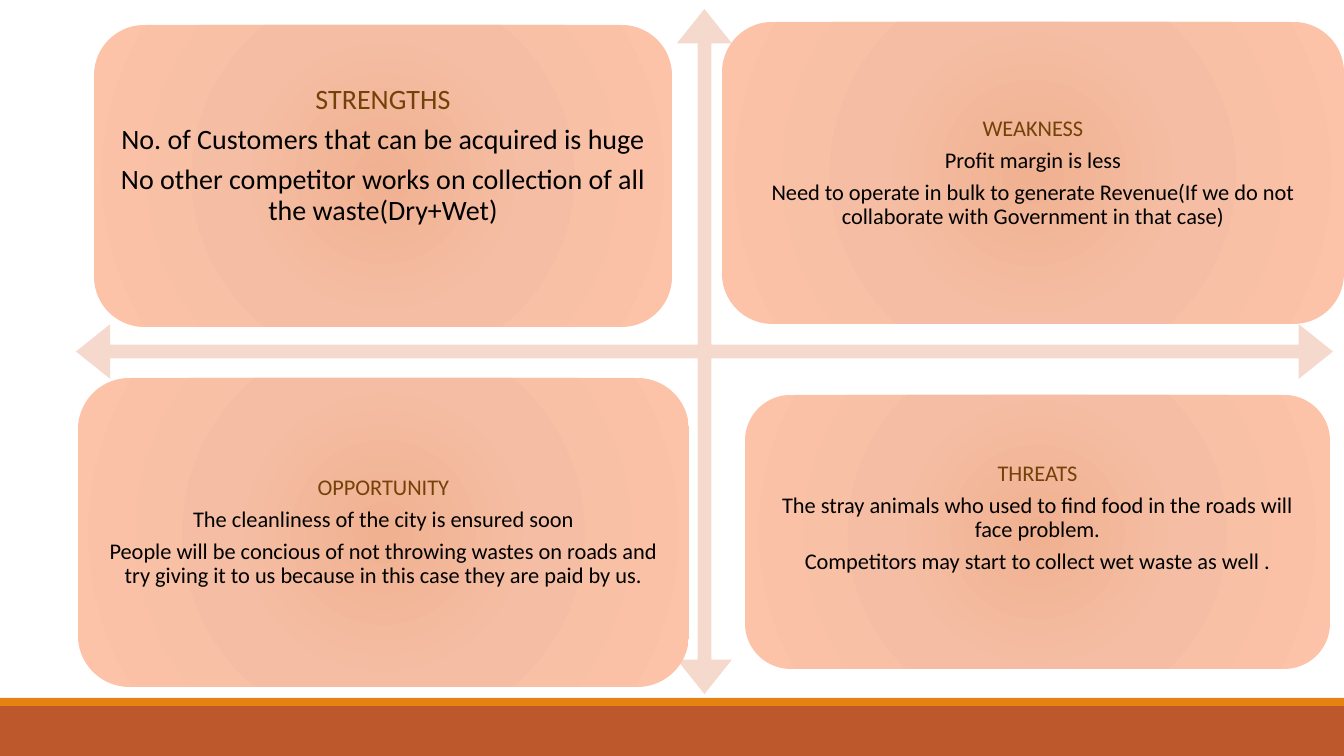
from lxml.etree import SubElement
from pptx import Presentation
from pptx.dml.color import RGBColor
from pptx.enum.shapes import MSO_SHAPE
from pptx.enum.text import MSO_ANCHOR, PP_ALIGN
from pptx.oxml.ns import qn
from pptx.util import Emu, Pt

COLORS = {
    "footer": "BD582C",
    "stripe": "E48312",
    "axes": "F5D9CC",
    "heading": "724209",
    "body": "000000",
}
GLOW = [(0, "F0B191"), (45, "F5BEA4"), (100, "FDC3A8")]
FONT = "Calibri"
SLIDE_SIZE = (1344, 756)
FOOTER = (0, 706, 1344, 50)
STRIPE = (0, 698, 1344, 8)
AXES = (76, 9, 1257, 685)
AXES_PROPORTIONS = (0.02, 0.04, 0.05)

# heading, points, area in px, text size in pt, upward shift of the text in px
QUADRANTS = [
    ("STRENGTHS",
     ["No. of Customers that can be acquired is huge",
      "No other competitor works on collection of all the waste(Dry+Wet)"],
     (94, 25, 578, 302), 20, 20),
    ("WEAKNESS",
     ["Profit margin is less",
      "Need to operate in bulk to generate Revenue(If we do not collaborate "
      "with Government in that case)"],
     (722, 22, 622, 302), 16, 0),
    ("OPPORTUNITY",
     ["The cleanliness of the city is ensured soon",
      "People will be concious of not throwing wastes on roads and try giving "
      "it to us because in this case they are paid by us."],
     (78, 378, 611, 309), 16, 0),
    ("THREATS",
     ["The stray animals who used to find food in the roads will face problem.",
      "Competitors may start to collect wet waste as well ."],
     (745, 395, 585, 274), 16, 14),
]
INSET = 7


def px(length):
    return Emu(round(length * 914400 / 100.8))


def add_block(slide, kind, area, color=None):
    block = slide.shapes.add_shape(kind, *map(px, area))
    block.shadow.inherit = False
    block.line.fill.background()
    if color:
        block.fill.solid()
        block.fill.fore_color.rgb = RGBColor.from_string(COLORS[color])
    return block


def add_glow(block):
    """Fill the block with the circular gradient."""
    block.fill.gradient()
    gradient = block.element.spPr.find(qn("a:gradFill"))
    for part in list(gradient):
        gradient.remove(part)
    stops = SubElement(gradient, qn("a:gsLst"))
    for percent, color in GLOW:
        stop = SubElement(stops, qn("a:gs"), pos=str(percent * 1000))
        SubElement(stop, qn("a:srgbClr"), val=color)
    circle = SubElement(gradient, qn("a:path"))
    circle.set("path", "circle")
    SubElement(circle, qn("a:fillToRect"),
               {side: "100000" for side in "ltrb"})


def write(paragraph, text, *, size, color):
    paragraph.text = text
    paragraph.alignment = PP_ALIGN.CENTER
    paragraph.line_spacing = 0.9
    paragraph.space_after = Pt(size * 0.35)
    font = paragraph.runs[0].font
    font.name = FONT
    font.size = Pt(size)
    font.color.rgb = RGBColor.from_string(COLORS[color])


def add_quadrant(slide, heading, points, area, size, shift):
    card = add_block(slide, MSO_SHAPE.ROUNDED_RECTANGLE, area)
    add_glow(card)
    frame = card.text_frame
    frame.word_wrap = True
    frame.vertical_anchor = MSO_ANCHOR.MIDDLE
    frame.margin_left = frame.margin_right = frame.margin_top = px(INSET)
    frame.margin_bottom = px(INSET + 2 * shift)
    write(frame.paragraphs[0], heading, size=size, color="heading")
    for point in points:
        write(frame.add_paragraph(), point, size=size, color="body")


def main():
    deck = Presentation()
    deck.slide_width, deck.slide_height = map(px, SLIDE_SIZE)
    slide = deck.slides.add_slide(deck.slide_layouts[6])
    add_block(slide, MSO_SHAPE.RECTANGLE, FOOTER, "footer")
    add_block(slide, MSO_SHAPE.RECTANGLE, STRIPE, "stripe")
    axes = add_block(slide, MSO_SHAPE.QUAD_ARROW, AXES, "axes")
    for index, proportion in enumerate(AXES_PROPORTIONS):
        axes.adjustments[index] = proportion
    for quadrant in QUADRANTS:
        add_quadrant(slide, *quadrant)
    deck.save("out.pptx")


if __name__ == "__main__":
    main()
